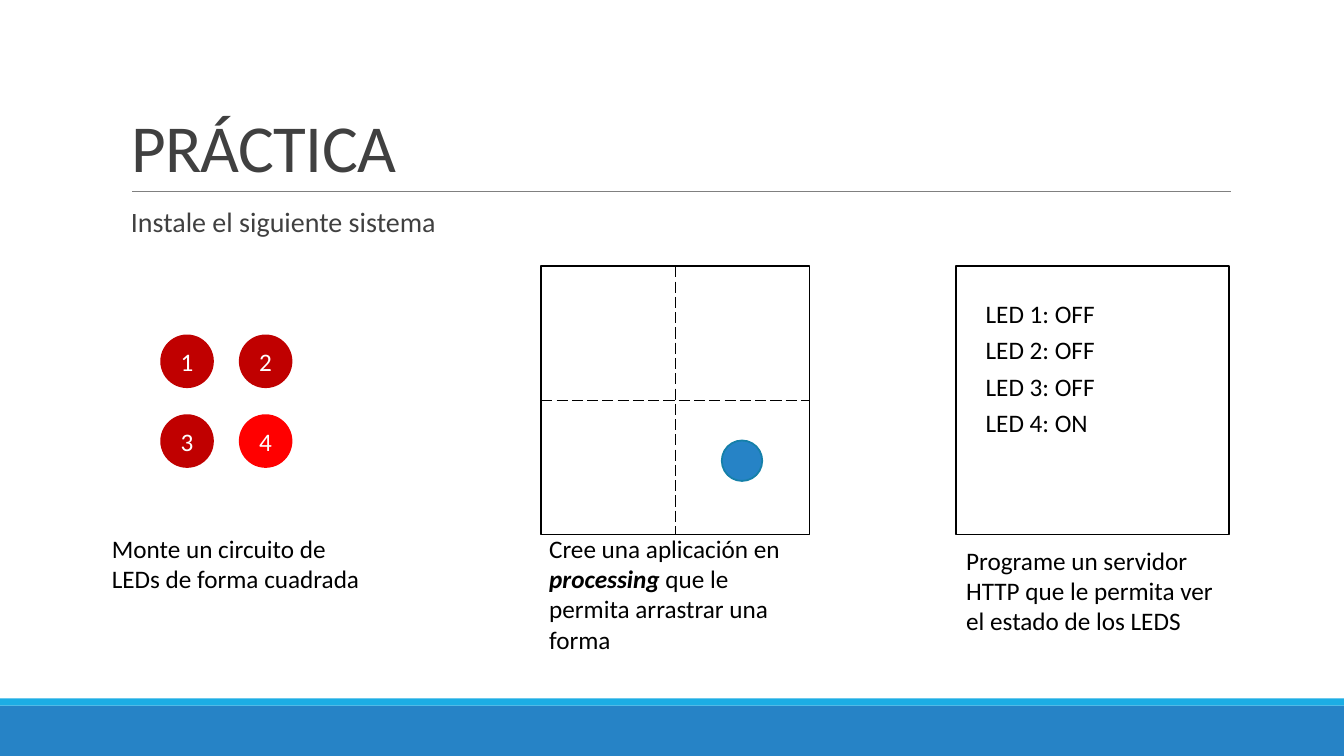
from lxml import etree
from pptx import Presentation
from pptx import util as u
from pptx.dml.color import RGBColor
from pptx.enum import dml, shapes, text
from pptx.oxml.ns import qn

Cm, Pt = u.Cm, u.Pt
prs = Presentation()
prs.slide_width, prs.slide_height = Cm(33.87), Cm(19.05)
slide = prs.slides.add_slide(prs.slide_layouts[5])


def draw(kind, left, top, width, height, fill, line=None):
    shape = slide.shapes.add_shape(kind, Cm(left), Cm(top), Cm(width), Cm(height))
    shape.shadow.inherit = False
    shape.fill.solid()
    shape.fill.fore_color.rgb = RGBColor.from_string(fill)
    if line:
        shape.line.color.rgb = RGBColor.from_string(line)
        shape.line.width = Pt(1.25)
    else:
        shape.line.fill.background()
    return shape


def write(frame, words, size=18, color="000000"):
    frame.word_wrap = True
    paragraph = frame.paragraphs[0]
    for word in words:
        paragraph.add_run().text = word
    paragraph.font.size = Pt(size)
    paragraph.font.name = "Calibri"
    paragraph.font.color.rgb = RGBColor.from_string(color)
    return paragraph


RECT, OVAL = shapes.MSO_SHAPE.RECTANGLE, shapes.MSO_SHAPE.OVAL
draw(RECT, 0, 17.78, 33.87, 1.27, "2683C6")
draw(RECT, 0, 17.6, 33.87, 0.18, "1CADE4")

title = slide.shapes.title
title.left, title.top, title.width, title.height = Cm(3.05), Cm(0.79), Cm(27.94), Cm(4.04)
title.text_frame.auto_size = text.MSO_AUTO_SIZE.NONE
title.text_frame.vertical_anchor = text.MSO_ANCHOR.BOTTOM
heading = write(title.text_frame, ["PRÁCTICA"], 48, "404040")
heading.alignment = text.PP_ALIGN.LEFT
heading.line_spacing = 0.85
heading.runs[0].font._element.set("spc", "-50")

intro = slide.shapes.add_textbox(Cm(3.05), Cm(5.13), Cm(27.94), Cm(11.18)).text_frame
intro.margin_left, intro.margin_right = Cm(0.25), 0
instruction = write(intro, ["Instale el siguiente sistema"], 20, "404040")
instruction.line_spacing = 0.9
instruction.space_before, instruction.space_after = Pt(12), Pt(2)

for number in range(1, 5):
    row, column = divmod(number - 1, 2)
    color = "FF0000" if number == 4 else "C00000"
    led = draw(OVAL, 4.04 + 1.98 * column, 8.43 + 2.01 * row, 1.35, 1.35, color)
    frame = led.text_frame
    frame.margin_left = frame.margin_right = 0
    frame.vertical_anchor = text.MSO_ANCHOR.MIDDLE
    write(frame, [str(number)], color="FFFFFF").alignment = text.PP_ALIGN.CENTER

app_left, box_top, side = 13.64, 6.71, 6.76
draw(RECT, app_left, box_top, side, side, "FFFFFF", "000000")
draw(RECT, 24.1, box_top, 6.88, side, "FFFFFF", "000000")

middle_x, middle_y = app_left + side / 2, box_top + side / 2
for x1, y1, x2, y2, color, width, dash in [
    (3.33, 4.83, 31.01, 4.83, "808080", 0.5, dml.MSO_LINE.SOLID),
    (middle_x, box_top, middle_x, box_top + side, "000000", 1, dml.MSO_LINE.LONG_DASH),
    (app_left, middle_y, app_left + side, middle_y, "000000", 1, dml.MSO_LINE.LONG_DASH),
]:
    rule = slide.shapes.add_connector(shapes.MSO_CONNECTOR.STRAIGHT, Cm(x1), Cm(y1), Cm(x2), Cm(y2))
    rule.line.color.rgb = RGBColor.from_string(color)
    rule.line.width = Pt(width)
    rule.line.dash_style = dash
    etree.SubElement(rule._element.spPr, qn("a:effectLst"))

draw(OVAL, 18.19, 11.1, 1.02, 1.02, "2683C6", "1580A9")

for left, top, height, words in [
    (2.57, 13.31, 1.8, ["Monte un circuito de LEDs de forma cuadrada"]),
    (13.59, 13.31, 3.33, ["Cree una aplicación en ", "processing", " que le permita arrastrar una forma"]),
    (24.1, 13.61, 2.57, ["Programe un servidor HTTP que le permita ver el estado de los LEDS"]),
]:
    caption = slide.shapes.add_textbox(Cm(left), Cm(top), Cm(6.88), Cm(height))
    for run in write(caption.text_frame, words).runs:
        if run.text == "processing":
            run.font.bold = run.font.italic = True

for index, state in enumerate(["OFF", "OFF", "OFF", "ON"]):
    status = slide.shapes.add_textbox(Cm(24.59), Cm(7.39 + 0.92 * index), Cm(3.66), Cm(1.02))
    write(status.text_frame, [f"LED {index + 1}: {state}"])

prs.save("out.pptx")
